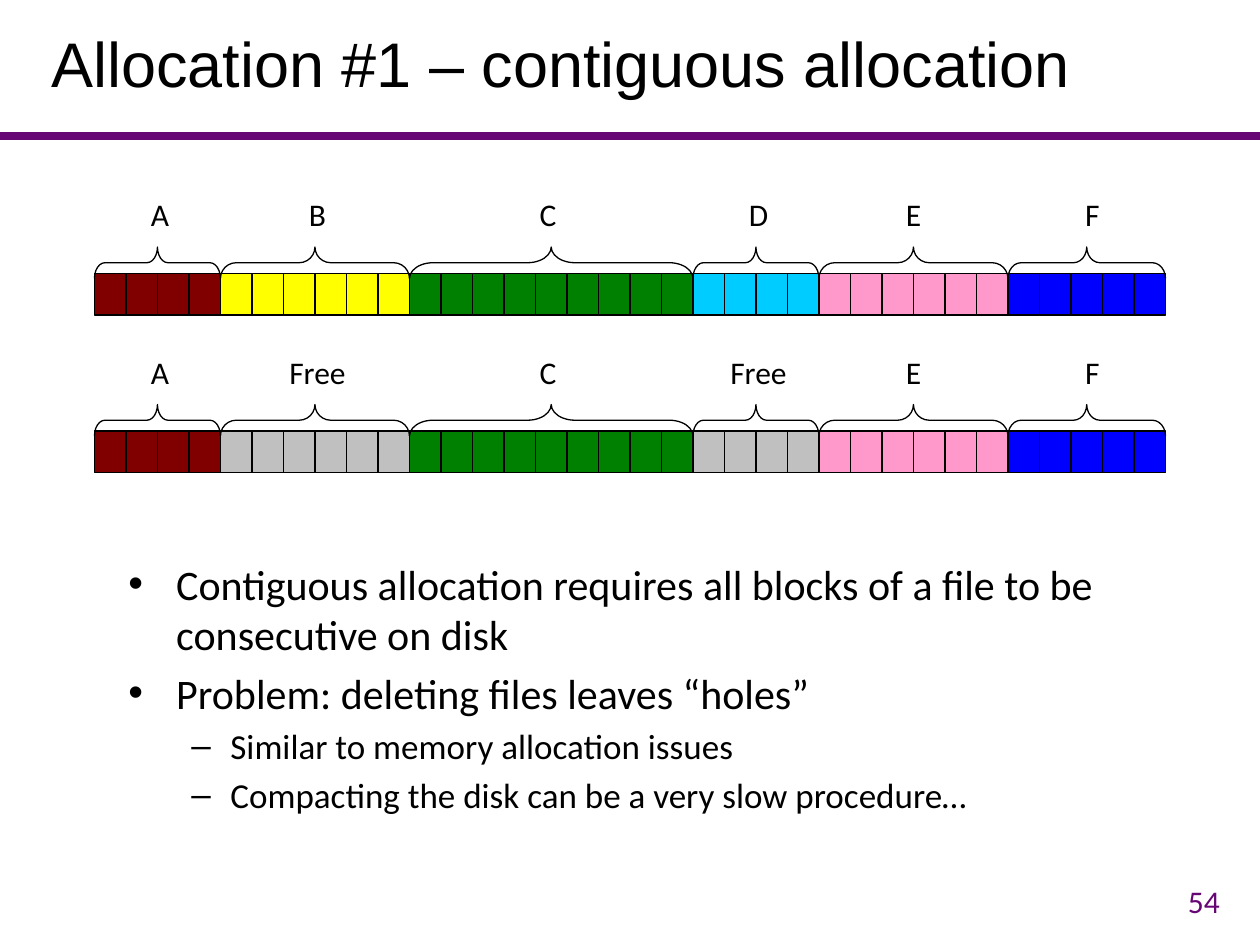
from lxml import etree
from pptx import Presentation
from pptx.dml.color import RGBColor
from pptx.enum.shapes import MSO_CONNECTOR as Connector, MSO_SHAPE as Shape
from pptx.enum.text import MSO_ANCHOR as Anchor, PP_ALIGN as Align
from pptx.oxml.ns import qn
from pptx.util import Inches, Pt

BLACK, PURPLE, GREY = "000000", "670775", "C0C0C0"
BLOCK_WIDTH, BLOCK_HEIGHT = 0.25, 0.33

# name, number of blocks, colour, centre of the label
FILES = [
    ("A", 4, "800000", 1.27),
    ("B", 6, "FFFF00", 2.52),
    ("C", 9, "008000", 4.35),
    ("D", 4, "00CCFF", 6.02),
    ("E", 6, "FF99CC", 7.25),
    ("F", 5, "0000FF", 8.67),
]
DELETED = {"B", "D"}

# level, text
POINTS = [
    (0, "Contiguous allocation requires all blocks of a file to be "
        "consecutive on disk"),
    (0, "Problem: deleting files leaves “holes”"),
    (1, "Similar to memory allocation issues"),
    (1, "Compacting the disk can be a very slow procedure…"),
]
# bullet, left margin, hanging indent, text size, space before
LEVELS = [("•", 0.38, 0.38, 24, 4.8), ("–", 0.81, 0.31, 20, 4)]


def color(hex_value):
    return RGBColor.from_string(hex_value)


def set_all(target, values):
    for name, value in values.items():
        setattr(target, name, value)


def set_line(line, hex_value, width):
    line.color.rgb = color(hex_value)
    line.width = Pt(width)


def style_text(paragraph, size, hex_value=BLACK, font="Calibri"):
    set_all(paragraph.font, {"name": font, "size": Pt(size)})
    paragraph.font.color.rgb = color(hex_value)


def add_text(slide, box, text, size, frame=None, paragraph=None, **font):
    area = slide.shapes.add_textbox(*map(Inches, box)).text_frame
    set_all(area, {"word_wrap": True} | (frame or {}))
    line = area.paragraphs[0]
    line.text = text
    set_all(line, paragraph or {})
    style_text(line, size, **font)


def add_outlined(slide, kind, box, fill=None):
    shape = slide.shapes.add_shape(kind, *map(Inches, box))
    shape.shadow.inherit = False
    set_line(shape.line, BLACK, 0.75)
    if fill:
        shape.fill.solid()
        shape.fill.fore_color.rgb = color(fill)
    else:
        shape.fill.background()
    return shape


def add_header(slide, box):
    left, top, width, height = box
    rule = slide.shapes.add_connector(
        Connector.STRAIGHT, Inches(left), Inches(top + height),
        Inches(left + width), Inches(top + height))
    set_line(rule.line, PURPLE, 4.5)
    etree.SubElement(rule.element.spPr, qn("a:effectLst"))
    add_text(slide, (left + 0.31, top + 0.09, 9.47, 0.89),
             "Allocation #1 – contiguous allocation", 36,
             frame={"vertical_anchor": Anchor.MIDDLE},
             paragraph={"line_spacing": 0.9}, font="Arial")


def add_disk(slide, box, files):
    """Labels over braces over one row of blocks."""
    left, top, _, height = box
    blocks_top = top + height - BLOCK_HEIGHT
    for name, count, fill, label_center in files:
        width = count * BLOCK_WIDTH
        # Blocks of the file
        for block in range(count):
            add_outlined(slide, Shape.RECTANGLE,
                         (left + block * BLOCK_WIDTH, blocks_top,
                          BLOCK_WIDTH, BLOCK_HEIGHT), fill)
        # Brace, turned to point up, so its box is given upright
        depth = 0.25
        brace = add_outlined(slide, Shape.RIGHT_BRACE,
                             (left + (width - depth) / 2,
                              top + 0.46 + (depth - width) / 2, depth, width))
        brace.rotation = 270
        brace.adjustments[0] = count / 12
        # Label
        label_width = 0.65 if name == "Free" else 0.37
        add_text(slide, (label_center - label_width / 2, top, label_width, 0.4),
                 name, 18, frame={"word_wrap": False},
                 paragraph={"alignment": Align.CENTER})
        left += width


def add_points(slide, box):
    area = slide.shapes.add_textbox(*map(Inches, box)).text_frame
    area.word_wrap = True
    for index, (level, text) in enumerate(POINTS):
        bullet, margin, hanging, size, space = LEVELS[level]
        point = area.add_paragraph() if index else area.paragraphs[0]
        point.text = text
        point.level = level
        if index:
            point.space_before = Pt(space)
        properties = point._p.get_or_add_pPr()
        properties.set("marL", str(Inches(margin)))
        properties.set("indent", str(-Inches(hanging)))
        etree.SubElement(properties, qn("a:buFont"), typeface="Arial")
        etree.SubElement(properties, qn("a:buChar"), char=bullet)
        style_text(point, size)


def add_page_number(slide, box):
    add_text(slide, box, "54", 18, frame={"vertical_anchor": Anchor.MIDDLE},
             paragraph={"alignment": Align.RIGHT}, hex_value=PURPLE)


def main():
    deck = Presentation()
    set_all(deck, {"slide_width": Inches(10), "slide_height": Inches(7.5)})
    slide = deck.slides.add_slide(deck.slide_layouts[6])

    after_deletion = [
        ("Free", count, GREY, center) if name in DELETED
        else (name, count, fill, center)
        for name, count, fill, center in FILES
    ]
    add_header(slide, (0, 0, 10, 1.08))
    add_disk(slide, (0.75, 1.5, 8.5, 1), FILES)
    add_disk(slide, (0.75, 2.75, 8.5, 1), after_deletion)
    add_points(slide, (0.92, 4.38, 8.88, 2.62))
    add_page_number(slide, (7.53, 6.95, 2.25, 0.4))
    deck.save("out.pptx")


if __name__ == "__main__":
    main()
